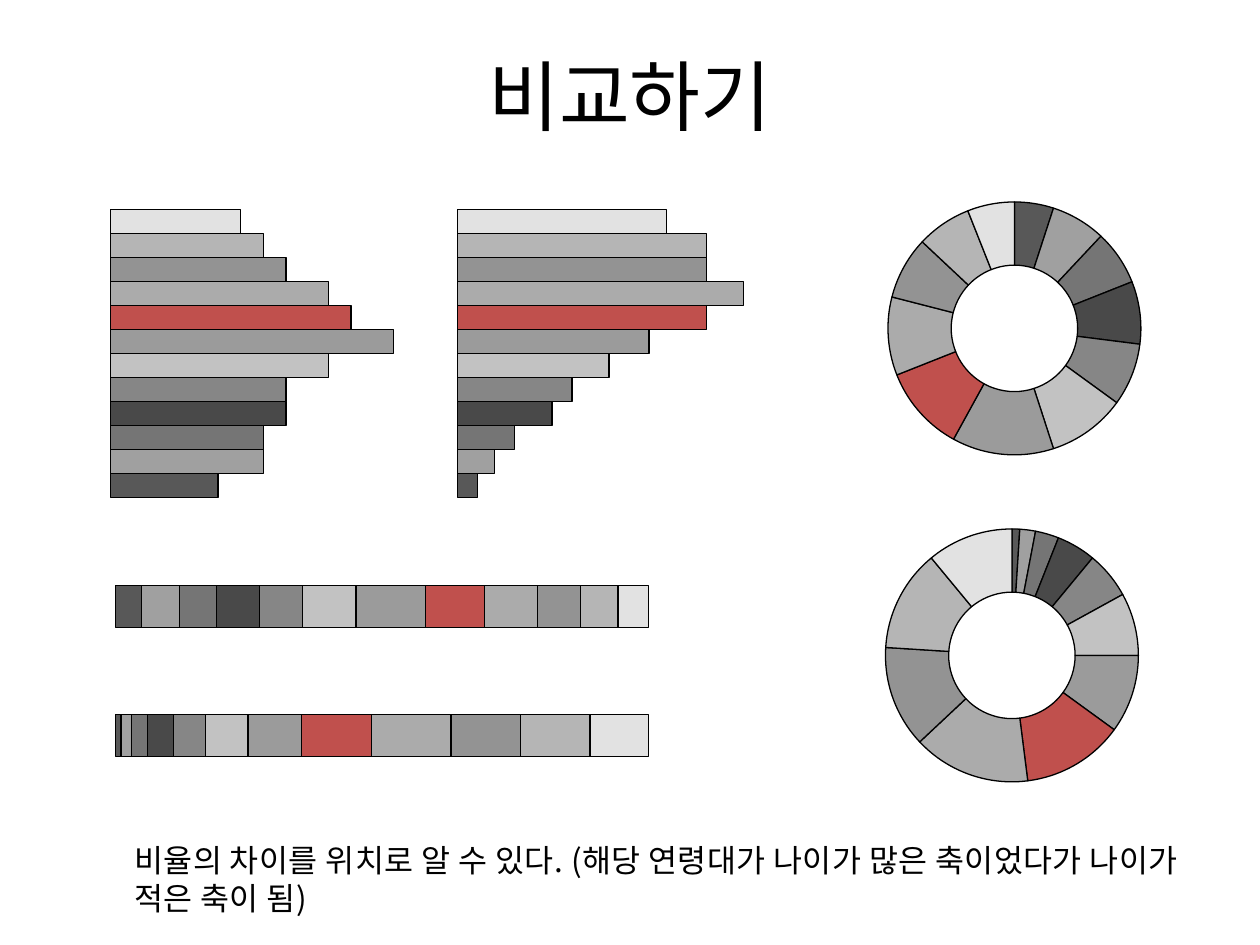
from collections import namedtuple

from lxml.etree import SubElement
from pptx import Presentation
from pptx.chart.data import CategoryChartData
from pptx.dml.color import RGBColor
from pptx.enum.chart import XL_CHART_TYPE
from pptx.enum.text import MSO_ANCHOR, PP_ALIGN
from pptx.oxml.ns import qn
from pptx.util import Pt

Box = namedtuple("Box", "left top width height")

EMU_PER_PX = 914400 / 126
FONT = "Noto Sans CJK KR"
BLACK = "000000"
# Age groups in series order; the eighth is highlighted
AGE_COLORS = ["585858", "A0A0A0", "757575", "494949", "868686", "C2C2C2",
              "9B9B9B", "C0504D", "ABABAB", "939393", "B5B5B5", "E2E2E2"]
FIRST_COUNTS = [38, 54, 54, 62, 62, 77, 100, 85, 77, 62, 54, 46]
SECOND_COUNTS = [7, 13, 20, 33, 40, 53, 67, 87, 100, 87, 87, 73]
FIRST_SHARES = [5, 7, 7, 8, 8, 10, 13, 11, 10, 8, 7, 6]
SECOND_SHARES = [1, 2, 3, 5, 6, 8, 10, 13, 15, 13, 13, 11]


def px(length):
    return round(length * EMU_PER_PX)


def emu(box):
    return [px(length) for length in box]


def color(hex_string):
    return RGBColor.from_string(hex_string)


def paint(part, hex_string):
    part.format.fill.solid()
    part.format.fill.fore_color.rgb = color(hex_string)
    part.format.line.color.rgb = color(BLACK)
    part.format.line.width = Pt(0.75)


def place_plot(chart, box, plot):
    """Fix the plot area; plot is relative to the chart's box."""
    area = chart.plots[0]._element.getparent()
    layout = area.find(qn("c:layout"))
    if layout is None:
        layout = SubElement(area, qn("c:layout"))
        area.insert(0, layout)
    manual = SubElement(layout, qn("c:manualLayout"))
    settings = [("layoutTarget", "inner"), ("xMode", "edge"), ("yMode", "edge"),
                ("x", plot.left / box.width), ("y", plot.top / box.height),
                ("w", plot.width / box.width), ("h", plot.height / box.height)]
    for name, value in settings:
        SubElement(manual, qn(f"c:{name}")).set("val", str(value))


def add_plain_chart(page, kind, box, plot, data):
    chart = page.shapes.add_chart(kind, *emu(box), data).chart
    chart.has_title = False
    chart.has_legend = False
    chart.font.name = FONT
    chart.font.size = Pt(18)
    chart.font.color.rgb = color(BLACK)
    place_plot(chart, box, plot)
    return chart


def add_bars(page, kind, box, plot, values, maximum):
    data = CategoryChartData()
    data.categories = ["1"]
    for number, value in enumerate(values, 1):
        data.add_series(f"Series {number}", [value])
    chart = add_plain_chart(page, kind, box, plot, data)
    chart.plots[0].gap_width = 150
    chart.plots[0].vary_by_categories = False
    chart.category_axis.visible = False
    axis = chart.value_axis
    axis.minimum_scale = 0
    axis.maximum_scale = maximum
    axis.has_major_gridlines = False
    axis.visible = False
    for series, fill in zip(chart.series, AGE_COLORS):
        paint(series, fill)


def add_ring(page, box, plot, values):
    data = CategoryChartData()
    data.categories = [str(number) for number in range(1, len(values) + 1)]
    data.add_series("Series 1", values)
    chart = add_plain_chart(page, XL_CHART_TYPE.DOUGHNUT, box, plot, data)
    for index, fill in enumerate(AGE_COLORS):
        paint(chart.series[0].points[index], fill)


def add_text(page, box, text, size, anchor, align):
    frame = page.shapes.add_textbox(*emu(box)).text_frame
    frame.word_wrap = True
    frame.vertical_anchor = anchor
    para = frame.paragraphs[0]
    para.alignment = align
    run = para.add_run()
    run.text = text
    run.font.size = Pt(size)
    run.font.name = FONT
    run.font.color.rgb = color(BLACK)
    SubElement(run.font._element, qn("a:ea")).set("typeface", FONT)
    return para


def add_title(page, box):
    add_text(page, box, "비교하기", 44, MSO_ANCHOR.MIDDLE, PP_ALIGN.CENTER)


def add_conclusion(page, box):
    text = ("비율의 차이를 위치로 알 수 있다. (해당 연령대가 나이가 많은 "
            "축이었다가 나이가 적은 축이 됨)")
    para = add_text(page, box, text, 18, MSO_ANCHOR.TOP, PP_ALIGN.LEFT)
    properties = para._element.get_or_add_pPr()
    properties.set("marL", str(px(63)))
    properties.set("indent", "0")
    # Slightly open letter spacing, in hundredths of a point
    para.runs[0].font._element.set("spc", "25")


def add_clustered_pair(page, box):
    width, gap = 318, 29
    columns = [(FIRST_COUNTS, 283), (SECOND_COUNTS, 286)]
    for column, (values, plot_width) in enumerate(columns):
        left = box.left + column * (width + gap)
        add_bars(page, XL_CHART_TYPE.BAR_CLUSTERED,
                 Box(left, box.top, width, box.height),
                 Box(5.5, 6.5, plot_width, 324), values, 100)


def add_stacked_pair(page, box):
    height, step = 110, 129
    rows = [(FIRST_COUNTS, 769), (SECOND_COUNTS, 667)]
    for row, (values, maximum) in enumerate(rows):
        add_bars(page, XL_CHART_TYPE.BAR_STACKED,
                 Box(box.left, box.top + row * step, box.width, height),
                 Box(10.5, 2, 533, 105), values, maximum)


def add_ring_pair(page, box):
    height, step, ring = 287, 327, 253
    rows = [(FIRST_SHARES, 353), (SECOND_SHARES, 348)]
    for row, (values, width) in enumerate(rows):
        add_ring(page, Box(box.left, box.top + row * step, width, height),
                 Box((width - ring) / 2, (height - ring) / 2, ring, ring), values)


def main():
    deck = Presentation()
    deck.slide_width, deck.slide_height = px(1260), px(945)
    page = deck.slides.add_slide(deck.slide_layouts[6])

    # Heading
    add_title(page, Box(63, 16, 1134, 158))
    # Distributions before and after, in three chart forms
    add_clustered_pair(page, Box(105, 185, 665, 338))
    add_stacked_pair(page, Box(105, 552, 556, 239))
    add_ring_pair(page, Box(838, 185, 353, 614))
    # Conclusion
    add_conclusion(page, Box(59, 835, 1134, 105))

    deck.save("out.pptx")


if __name__ == "__main__":
    main()
